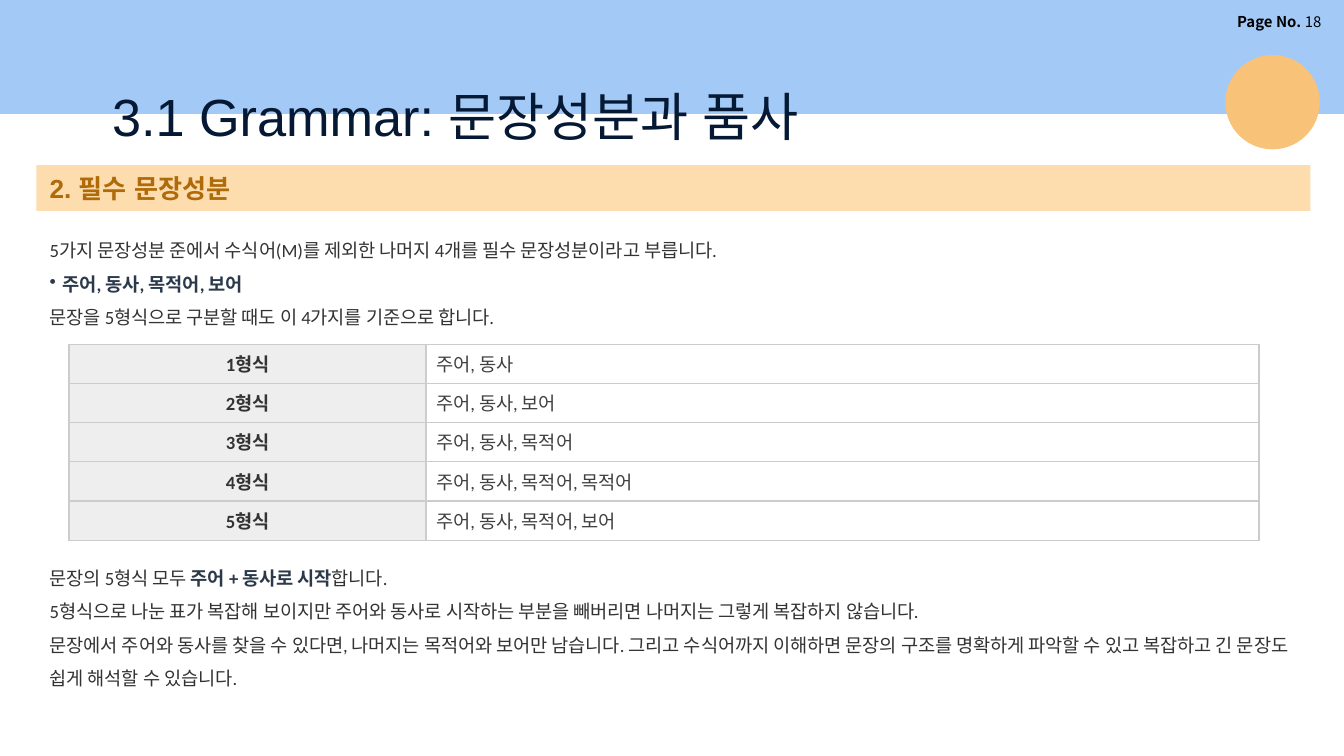
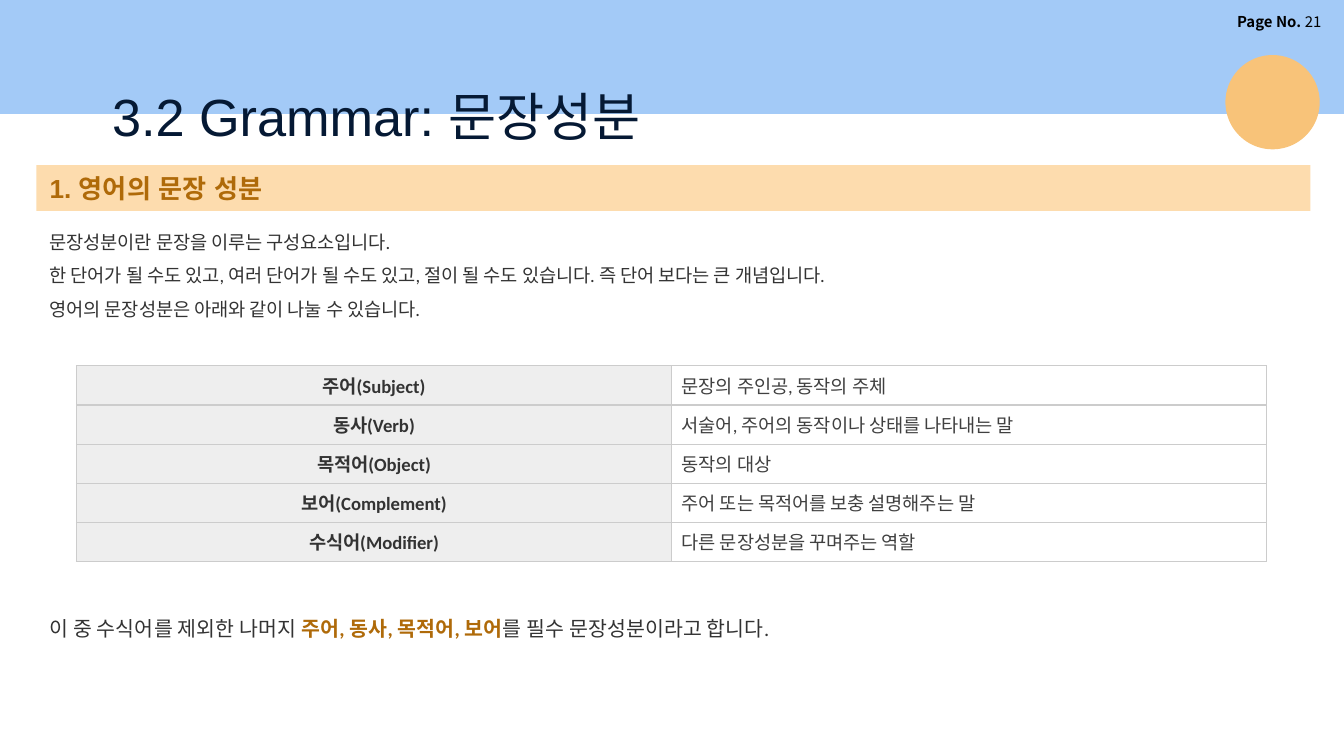
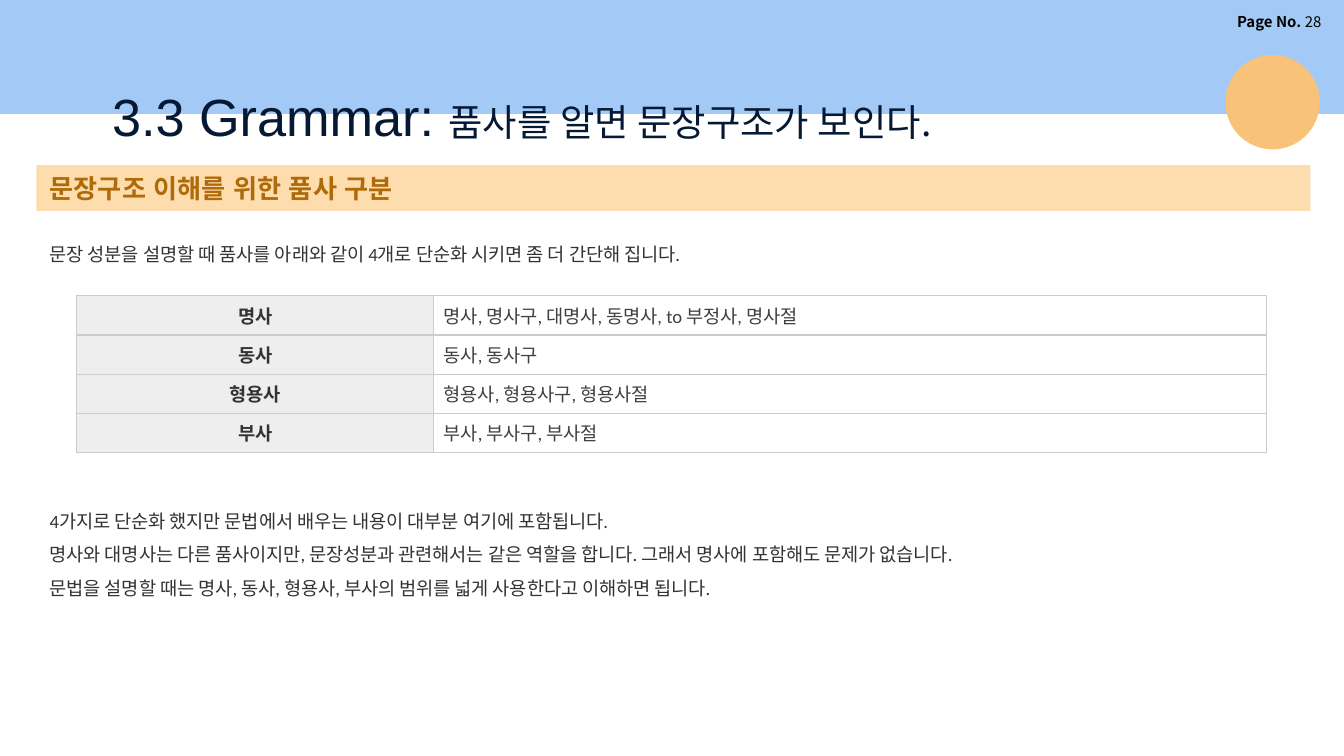
from lxml import etree
from pptx import Presentation
from pptx.dml.color import RGBColor
from pptx.enum.shapes import MSO_SHAPE
from pptx.enum.text import MSO_ANCHOR, MSO_AUTO_SIZE, PP_ALIGN
from pptx.oxml.ns import qn
from pptx.util import Pt

RECT, OVAL = MSO_SHAPE.RECTANGLE, MSO_SHAPE.OVAL
TOP, MIDDLE = MSO_ANCHOR.TOP, MSO_ANCHOR.MIDDLE
LEFT, CENTER, RIGHT = PP_ALIGN.LEFT, PP_ALIGN.CENTER, PP_ALIGN.RIGHT
FIT = MSO_AUTO_SIZE.SHAPE_TO_FIT_TEXT

COLORS = {
    "band": "A3CAF7", "circle": "F8C379", "bar": "FDDCAE",
    "title": "051934", "accent": "AF6A09", "strong": "2B394A",
    "body": "333333", "cell": "404040", "black": "000000",
    "label_fill": "EEEEEE", "white": "FFFFFF", "border": "CCCCCC",
}
KOREAN = "Noto Sans CJK KR"

# Text formats
PAGE = {"name": KOREAN, "size": 8, "color": "black"}
PAGE_BOLD = {**PAGE, "bold": True}
TITLE = {"name": "Arial", "size": 28, "color": "title"}
SUBTITLE = {**TITLE, "name": KOREAN, "size": 20}
SECTION = {"name": "Arial", "size": 14, "color": "accent", "bold": True}
BODY = {"name": "Calibri", "size": 10, "color": "body"}
STRONG = {**BODY, "color": "strong", "bold": True}
SUMMARY = {**BODY, "size": 11}
SUMMARY_KEY = {**SUMMARY, "color": "accent", "bold": True}
LABEL = {**BODY, "bold": True}
CELL = {**BODY, "color": "cell"}

# Shared geometry in points
SLIDE_W, SLIDE_H = 720, 405
CONTENT_X, CONTENT_W = 19.5, 682.5
TABLE_W, ROW_H = 637.5, 21
INSETS = (7.2, 3.6, 7.2, 3.6)


def rgb(name):
    return RGBColor.from_string(COLORS[name])


def add_run(p, text, fmt):
    r = p.add_run()
    r.text = text
    for key, value in fmt.items():
        if key == "color":
            r.font.color.rgb = rgb(value)
        else:
            setattr(r.font, key, Pt(value) if key == "size" else value)
    ea = etree.SubElement(r.font._element, qn("a:ea"))
    ea.set("typeface", fmt["name"])


def set_bullet(p, indent):
    pPr = p._p.get_or_add_pPr()
    pPr.set("marL", str(Pt(indent)))
    pPr.set("indent", str(-Pt(indent)))
    etree.SubElement(pPr, qn("a:buChar")).set("char", "•")


def write(tf, paragraphs, align=LEFT, spacing=None):
    """Each paragraph is a list of (text, format) runs."""
    for i, runs in enumerate(paragraphs):
        p = tf.add_paragraph() if i else tf.paragraphs[0]
        p.alignment = align
        if spacing:
            p.line_spacing = spacing
        for text, fmt in runs:
            if text.startswith("• "):
                set_bullet(p, 7)
                text = text[2:]
            add_run(p, text, fmt)


def set_margins(target, insets):
    for side, value in zip(("left", "top", "right", "bottom"), insets):
        setattr(target, "margin_" + side, Pt(value))


def add_text(s, box, paragraphs, align=LEFT, anchor=MIDDLE, spacing=None,
             insets=INSETS, auto_size=FIT):
    tf = s.shapes.add_textbox(*map(Pt, box)).text_frame
    set_margins(tf, insets)
    for key, value in {"word_wrap": True, "auto_size": auto_size,
                       "vertical_anchor": anchor}.items():
        setattr(tf, key, value)
    write(tf, paragraphs, align, spacing)


def add_filled(s, kind, box, color):
    sp = s.shapes.add_shape(kind, *map(Pt, box))
    sp.shadow.inherit = False
    sp.fill.solid()
    sp.fill.fore_color.rgb = rgb(color)
    sp.line.fill.background()
    return sp


def add_header(s, page, title):
    # Top band with page number
    add_filled(s, RECT, (0, 0, SLIDE_W, 61), "band")
    add_text(s, (610.5, 3, 104.5, 16.5),
             [[("Page No. ", PAGE_BOLD), (page, PAGE)]], RIGHT, TOP)
    # Title across the band's lower edge, and the circle
    add_text(s, (53, 35, 557, 45), [title], anchor=TOP,
             insets=(7.2, 10, 7.2, 5), auto_size=MSO_AUTO_SIZE.NONE)
    add_filled(s, OVAL, (656.5, 29.5, 50.5, 50.5), "circle")


def add_section(s, text):
    sp = add_filled(s, RECT, (CONTENT_X, 88.5, CONTENT_W, 24.5), "bar")
    sp.text_frame.vertical_anchor = MIDDLE
    write(sp.text_frame, [[(text, SECTION)]])


def add_body(s, top, height, paragraphs, **options):
    add_text(s, (CONTENT_X, top, CONTENT_W, height), paragraphs,
             **{"spacing": 1.5, **options})


def set_borders(cell):
    tcPr = cell._tc.get_or_add_tcPr()
    for edge in ("lnL", "lnR", "lnT", "lnB"):
        ln = etree.SubElement(tcPr, qn("a:" + edge), w=str(Pt(0.75)))
        fill = etree.SubElement(ln, qn("a:solidFill"))
        etree.SubElement(fill, qn("a:srgbClr"), val=COLORS["border"])


def add_term_table(s, left, top, label_share, rows):
    tbl = s.shapes.add_table(len(rows), 2, Pt(left), Pt(top), Pt(TABLE_W),
                             Pt(ROW_H * len(rows))).table
    tbl.first_row = tbl.horz_banding = False
    for col, share in zip(tbl.columns, (label_share, 1 - label_share)):
        col.width = Pt(TABLE_W * share)
    styles = (
        (LABEL, "label_fill", CENTER, (7.2, 5, 7.2, 3.6)),
        (CELL, "white", LEFT, (5.5, 5, 3.6, 3.6)),
    )
    for i, row in enumerate(rows):
        tbl.rows[i].height = Pt(ROW_H)
        for j, (text, style) in enumerate(zip(row, styles)):
            fmt, fill, align, insets = style
            cell = tbl.cell(i, j)
            set_borders(cell)
            cell.fill.solid()
            cell.fill.fore_color.rgb = rgb(fill)
            cell.vertical_anchor = MIDDLE
            set_margins(cell, insets)
            write(cell.text_frame, [[(text, fmt)]], align)


def new_slide(prs, page, title, section):
    s = prs.slides.add_slide(prs.slide_layouts[6])
    add_header(s, page, title)
    add_section(s, section)
    return s


def essential_slide(prs):
    s = new_slide(prs, "18", [("3.1 Grammar: 문장성분과 품사", TITLE)],
                  "2. 필수 문장성분")
    add_body(s, 119, 60, [
        [("5가지 문장성분 준에서 수식어(M)를 제외한 나머지 4개를 필수 문장성분이라고 부릅니다.", BODY)],
        [("• 주어, 동사, 목적어, 보어", STRONG)],
        [("문장을 5형식으로 구분할 때도 이 4가지를 기준으로 합니다.", BODY)],
    ])
    add_term_table(s, 37, 184.5, 0.3, [
        ("1형식", "주어, 동사"),
        ("2형식", "주어, 동사, 보어"),
        ("3형식", "주어, 동사, 목적어"),
        ("4형식", "주어, 동사, 목적어, 목적어"),
        ("5형식", "주어, 동사, 목적어, 보어"),
    ])
    add_body(s, 294.5, 78, [
        [("문장의 5형식 모두 ", BODY), ("주어 + 동사로 시작", STRONG), ("합니다.", BODY)],
        [("5형식으로 나눈 표가 복잡해 보이지만 주어와 동사로 시작하는 부분을 빼버리면 "
          "나머지는 그렇게 복잡하지 않습니다.", BODY)],
        [("문장에서 주어와 동사를 찾을 수 있다면, 나머지는 목적어와 보어만 남습니다. "
          "그리고 수식어까지 이해하면 문장의 구조를 명확하게 파악할 수 있고 "
          "복잡하고 긴 문장도 쉽게 해석할 수 있습니다.", BODY)],
    ])


def components_slide(prs):
    s = new_slide(prs, "21", [("3.2 Grammar: 문장성분", TITLE)],
                  "1. 영어의 문장 성분")
    add_body(s, 114.5, 60, [
        [("문장성분이란 문장을 이루는 구성요소입니다.", BODY)],
        [("한 단어가 될 수도 있고, 여러 단어가 될 수도 있고, 절이 될 수도 있습니다. "
          "즉 단어 보다는 큰 개념입니다.", BODY)],
        [("영어의 문장성분은 아래와 같이 나눌 수 있습니다.", BODY)],
    ])
    add_term_table(s, 41, 196, 0.5, [
        ("주어(Subject)", "문장의 주인공, 동작의 주체"),
        ("동사(Verb)", "서술어, 주어의 동작이나 상태를 나타내는 말"),
        ("목적어(Object)", "동작의 대상"),
        ("보어(Complement)", "주어 또는 목적어를 보충 설명해주는 말"),
        ("수식어(Modifier)", "다른 문장성분을 꾸며주는 역할"),
    ])
    add_body(s, 321, 25, [
        [("이 중 수식어를 제외한 나머지 ", SUMMARY),
         ("주어, 동사, 목적어, 보어", SUMMARY_KEY),
         ("를 필수 문장성분이라고 합니다.", SUMMARY)],
    ])


def word_classes_slide(prs):
    s = new_slide(prs, "28", [("3.3 Grammar: ", TITLE),
                              ("품사를 알면 문장구조가 보인다.", SUBTITLE)],
                  "문장구조 이해를 위한 품사 구분")
    add_body(s, 126.5, 19.5, [
        [("문장 성분을 설명할 때 품사를 아래와 같이 4개로 단순화 시키면 좀 더 간단해 집니다.", BODY)],
    ], anchor=TOP, spacing=None)
    add_term_table(s, 41, 158.5, 0.3, [
        ("명사", "명사, 명사구, 대명사, 동명사, to 부정사, 명사절"),
        ("동사", "동사, 동사구"),
        ("형용사", "형용사, 형용사구, 형용사절"),
        ("부사", "부사, 부사구, 부사절"),
    ])
    add_body(s, 264, 60, [
        [("4가지로 단순화 했지만 문법에서 배우는 내용이 대부분 여기에 포함됩니다.", BODY)],
        [("명사와 대명사는 다른 품사이지만, 문장성분과 관련해서는 같은 역할을 합니다. "
          "그래서 명사에 포함해도 문제가 없습니다.", BODY)],
        [("문법을 설명할 때는 명사, 동사, 형용사, 부사의 범위를 넓게 사용한다고 이해하면 됩니다.", BODY)],
    ])


def main():
    prs = Presentation()
    prs.slide_width, prs.slide_height = Pt(SLIDE_W), Pt(SLIDE_H)
    for build in (essential_slide, components_slide, word_classes_slide):
        build(prs)
    prs.save("out.pptx")


if __name__ == "__main__":
    main()
